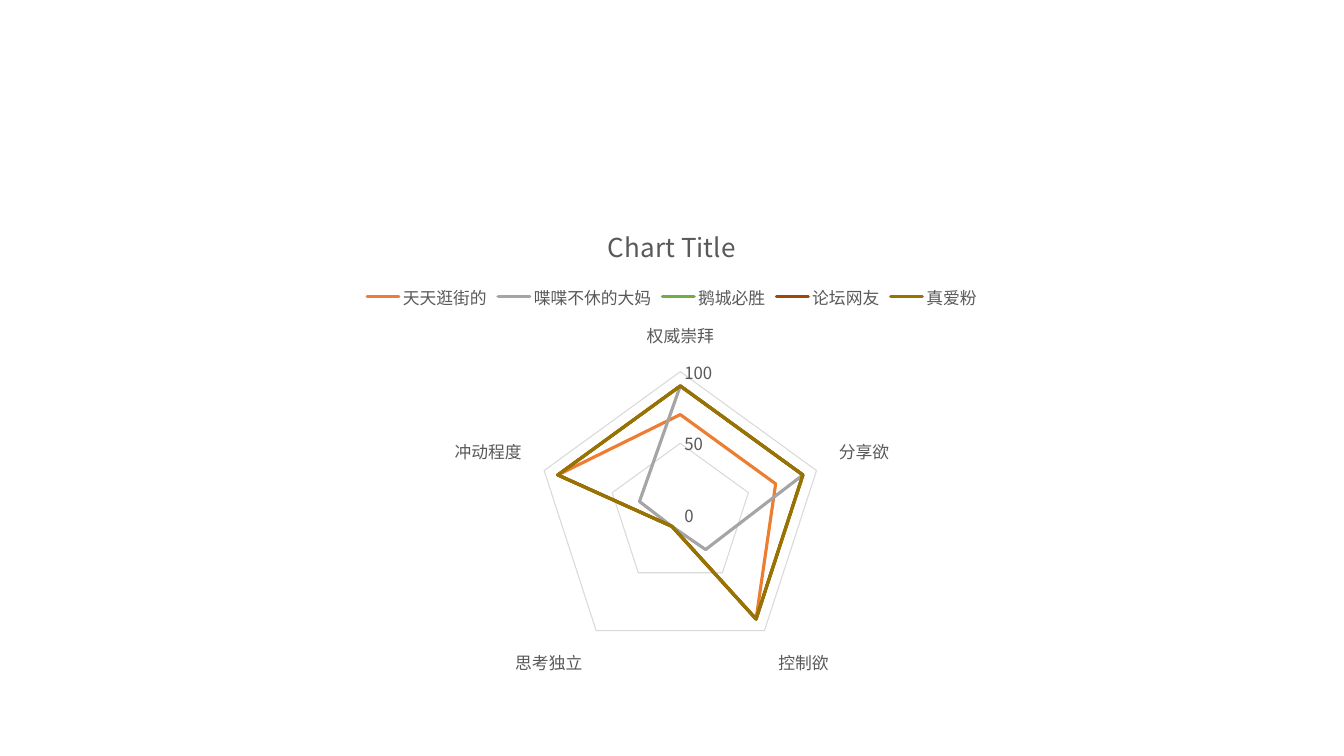
"""Build a slide with a radar chart comparing five groups of fans."""
from dataclasses import dataclass

from lxml.etree import SubElement
from pptx import Presentation
from pptx.chart.data import CategoryChartData
from pptx.dml.color import RGBColor
from pptx.enum.chart import XL_CHART_TYPE, XL_LEGEND_POSITION, XL_TICK_MARK
from pptx.oxml.ns import qn
from pptx.util import Pt

TITLE = "Chart Title"
TRAITS = ["权威崇拜", "分享欲", "控制欲", "思考独立", "冲动程度"]
GROUPS = [
    ("天天逛街的", (70, 70, 90, 10, 90), "ED7D31"),
    ("喋喋不休的大妈", (90, 90, 30, 10, 30), "A5A5A5"),
    ("鹅城必胜", (90, 90, 90, 10, 90), "70AD47"),
    ("论坛网友", (90, 90, 90, 10, 90), "9E480E"),
    ("真爱粉", (90, 90, 90, 10, 90), "997300"),
]
PAGE_SIZE = (960, 540)
CHART_BOX = (66, 146, 828, 343)


@dataclass(frozen=True)
class Theme:
    """Colours, type sizes and line widths."""
    font: str = "Noto Sans CJK SC"
    text: str = "595959"
    grid: str = "D9D9D9"
    title_size: float = 18.6
    label_size: float = 12
    grid_width: float = 0.75
    series_width: float = 2.25


THEME = Theme()


def style_font(font, size):
    font.name = THEME.font
    font.size = Pt(size)
    font.bold = False
    font.color.rgb = RGBColor.from_string(THEME.text)


def style_line(line, color, width):
    line.color.rgb = RGBColor.from_string(color)
    line.width = Pt(width)


def add_radar(page):
    data = CategoryChartData(number_format="General")
    data.categories = TRAITS
    for name, values, _ in GROUPS:
        data.add_series(name, values)
    frame = page.shapes.add_chart(XL_CHART_TYPE.RADAR, *map(Pt, CHART_BOX), data)
    return frame.chart


def style_title(chart):
    chart.has_title = True
    span = chart.chart_title.text_frame.paragraphs[0].add_run()
    span.text = TITLE
    style_font(span.font, THEME.title_size)
    chart.chart_title.include_in_layout = False


def style_legend(chart):
    chart.has_legend = True
    chart.legend.position = XL_LEGEND_POSITION.TOP
    chart.legend.include_in_layout = False
    style_font(chart.legend.font, THEME.label_size)


def style_axes(chart):
    traits, scores = chart.category_axis, chart.value_axis
    for axis in (traits, scores):
        axis.major_tick_mark = axis.minor_tick_mark = XL_TICK_MARK.NONE
        style_font(axis.tick_labels.font, THEME.label_size)
    traits.has_major_gridlines = False
    style_line(traits.format.line, THEME.grid, THEME.grid_width)
    scores.minimum_scale, scores.maximum_scale, scores.major_unit = 0, 100, 50
    scores.has_major_gridlines = True
    style_line(scores.major_gridlines.format.line, THEME.grid, THEME.grid_width)
    scores.format.line.fill.background()


def style_series(chart):
    for series, (_, _, color) in zip(chart.plots[0].series, GROUPS):
        style_line(series.format.line, color, THEME.series_width)
        series.format.line._get_or_add_ln().set("cap", "rnd")


def set_east_asian_font(chart):
    for latin in list(chart._chartSpace.iter(qn("a:latin"))):
        SubElement(latin.getparent(), qn("a:ea")).set("typeface", THEME.font)


def main():
    deck = Presentation()
    deck.slide_width, deck.slide_height = map(Pt, PAGE_SIZE)
    page = deck.slides.add_slide(deck.slide_layouts[6])
    chart = add_radar(page)
    style_font(chart.font, THEME.label_size)
    style_title(chart)
    style_legend(chart)
    style_axes(chart)
    style_series(chart)
    set_east_asian_font(chart)
    deck.save("out.pptx")


if __name__ == "__main__":
    main()
